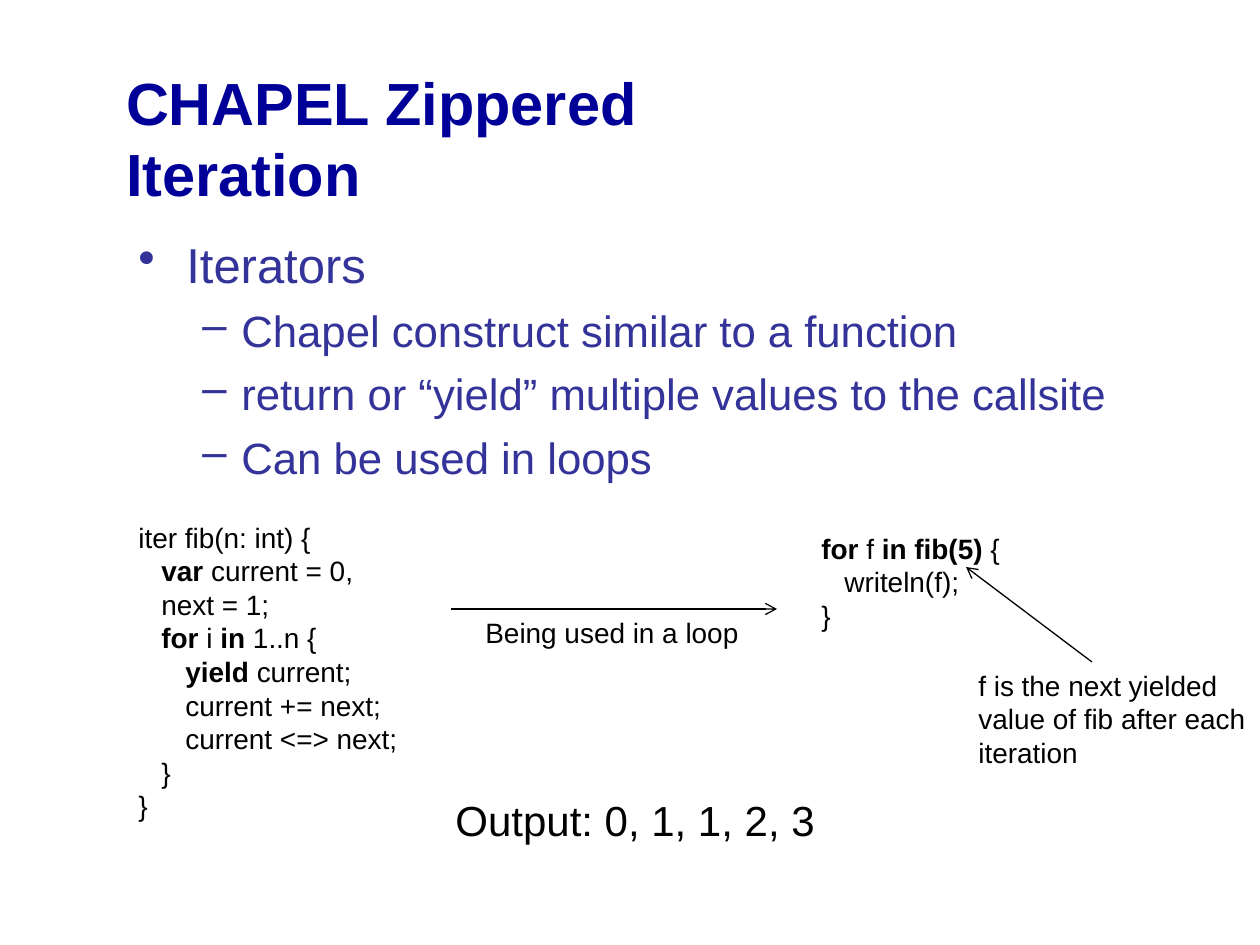
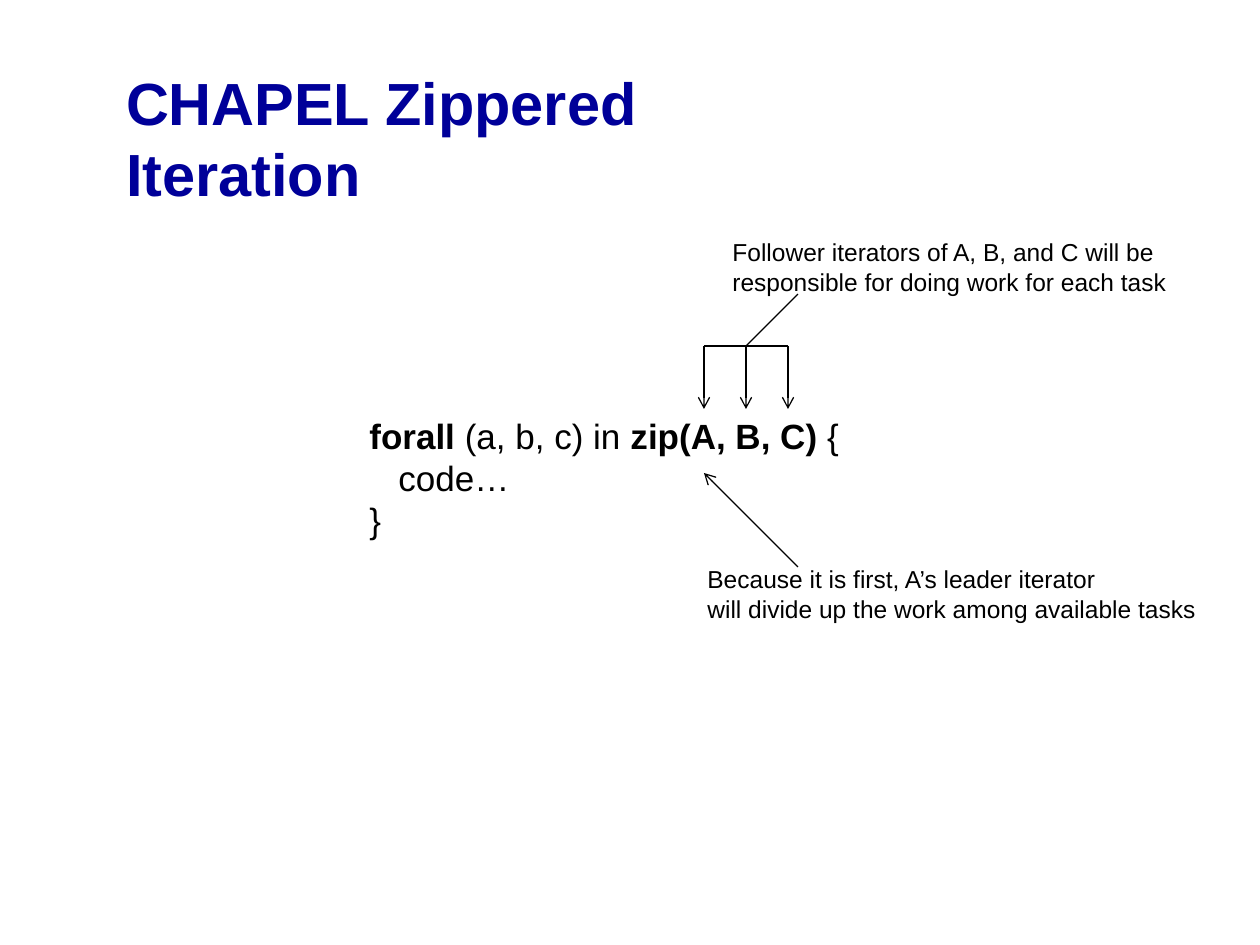
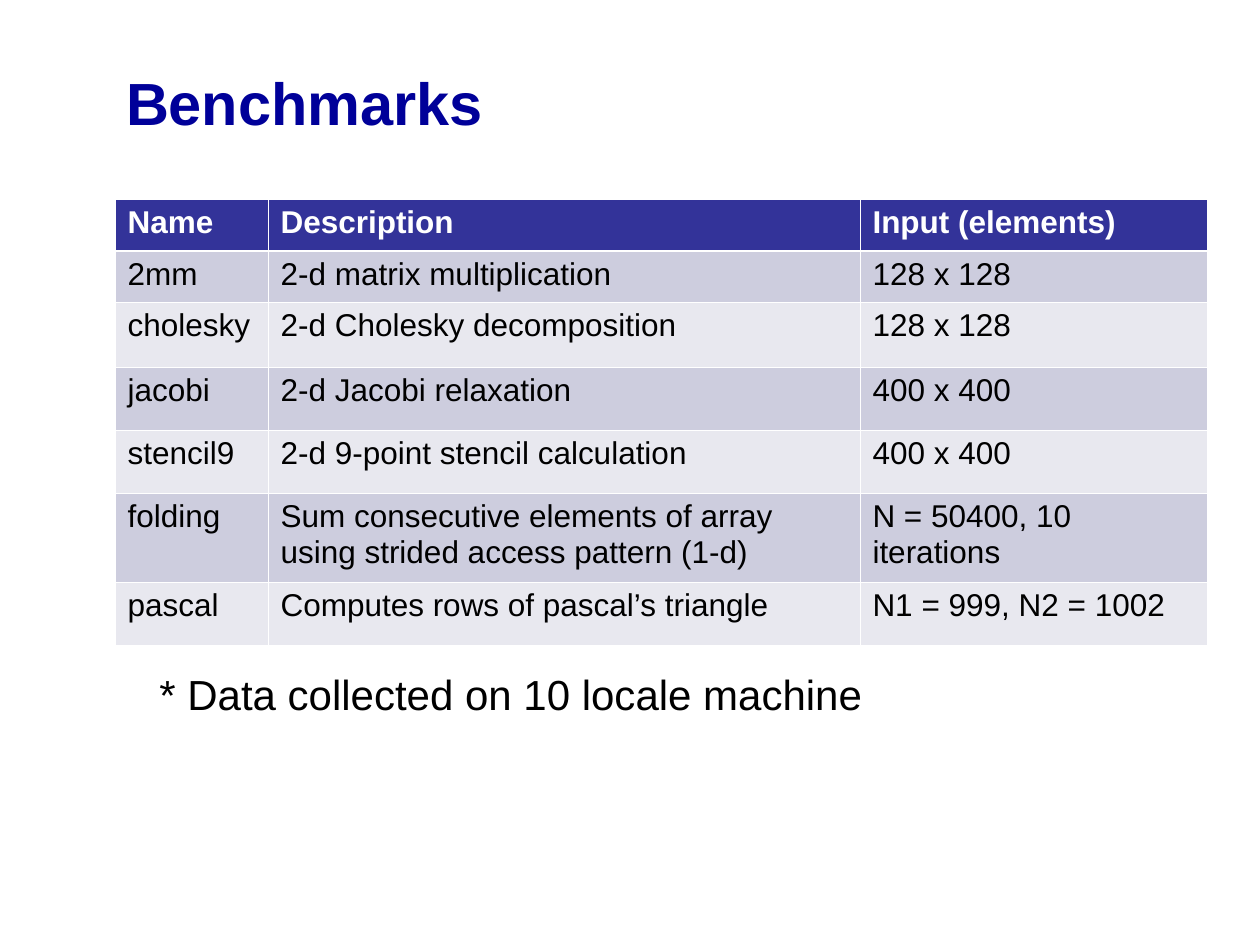
from dataclasses import dataclass
from typing import NamedTuple, Optional, Sequence

from lxml.etree import SubElement
from pptx import Presentation
from pptx.dml.color import RGBColor
from pptx.enum.shapes import MSO_CONNECTOR as Connector
from pptx.oxml import parse_xml
from pptx.oxml.ns import nsdecls, qn
from pptx.slide import Slide
from pptx.text.text import TextFrame
from pptx.util import Emu, Pt

PX_PER_INCH = 126
SLIDE_W, SLIDE_H = 1260, 945


@dataclass(frozen=True)
class Theme:
    font: str = "Arial"
    title_color: str = "000099"
    accent: str = "333399"
    ink: str = "000000"
    white: str = "FFFFFF"
    odd_row: str = "CDCDDE"
    even_row: str = "E8E8EF"
    title_size: int = 34
    large_size: int = 24
    snippet_size: int = 20
    table_size: int = 18
    code_size: int = 16
    note_size: int = 14
    line_width: float = 0.75
    grid_width: float = 0.45
    header_rule_width: float = 1.47


THEME = Theme()


class Box(NamedTuple):
    left: int
    top: int
    width: int
    height: int


class Point(NamedTuple):
    x: int
    y: int


class Bullet(NamedTuple):
    mark: str
    level: int
    margin: int
    hanging: int
    size: int
    space_before: float


class Line(NamedTuple):
    """One paragraph; text between ** marks is bold, depth is the code nesting."""
    text: str
    depth: int = 0
    bullet: Optional[Bullet] = None


class Arrow(NamedTuple):
    start: Point
    end: Point
    head: bool = True


TITLE_BOX = Box(126, 66, 735, 135)
MAIN_BULLET = Bullet("•", 0, 48, 48, 28, 7)
SUB_BULLET = Bullet("–", 1, 103, 39, 25, 6.2)


def px(length: int) -> Emu:
    return Emu(round(length * 914400 / PX_PER_INCH))


def rgb(color: str) -> RGBColor:
    return RGBColor.from_string(color)


def write_lines(frame: TextFrame, lines: Sequence[Line], *, size: int = THEME.code_size,
                color: str = THEME.ink, bold: bool = False) -> None:
    for number, line in enumerate(lines):
        paragraph = frame.paragraphs[0] if number == 0 else frame.add_paragraph()
        line_size = line.bullet.size if line.bullet else size
        properties = paragraph._p.get_or_add_pPr()
        if line.bullet:
            bullet = line.bullet
            paragraph.level = bullet.level
            paragraph.space_before = Pt(bullet.space_before)
            properties.set("marL", str(px(bullet.margin)))
            properties.set("indent", str(-px(bullet.hanging)))
            bullet_color = SubElement(properties, qn("a:buClr"))
            SubElement(bullet_color, qn("a:srgbClr"), val=color)
            SubElement(properties, qn("a:buChar"), char=bullet.mark)
        elif line.depth:
            # One nesting step is three spaces wide at the text size.
            properties.set("marL", str(px(round(line.depth * size * 1.46))))
        for part, words in enumerate(line.text.split("**")):
            if words:
                run = paragraph.add_run()
                run.text = words
                run.font.name = THEME.font
                run.font.size = Pt(line_size)
                run.font.bold = bold or part % 2 == 1
                run.font.color.rgb = rgb(color)


def add_text(slide: Slide, box: Box, *lines: Line, inset: bool = True, **style) -> None:
    frame = slide.shapes.add_textbox(*map(px, box)).text_frame
    frame.word_wrap = True
    if not inset:
        frame.margin_left = frame.margin_right = 0
        frame.margin_top = frame.margin_bottom = 0
    write_lines(frame, lines, **style)


def add_arrows(slide: Slide, arrows: Sequence[Arrow]) -> None:
    for arrow in arrows:
        connector = slide.shapes.add_connector(
            Connector.STRAIGHT, *map(px, (*arrow.start, *arrow.end)))
        connector.line.color.rgb = rgb(THEME.ink)
        connector.line.width = Pt(THEME.line_width)
        if arrow.head:
            SubElement(connector.line._get_or_add_ln(), qn("a:tailEnd"), type="arrow")
        SubElement(connector._element.spPr, qn("a:effectLst"))


def set_borders(cell, widths: dict[str, float]) -> None:
    properties = cell._tc.get_or_add_tcPr()
    for position, (side, width) in enumerate(widths.items()):
        properties.insert(position, parse_xml(
            f'<a:ln{side} {nsdecls("a")} w="{Pt(width)}"><a:solidFill>'
            f'<a:srgbClr val="{THEME.white}"/></a:solidFill></a:ln{side}>'))


def add_titled_slide(deck, title: str) -> Slide:
    slide = deck.slides.add_slide(deck.slide_layouts[6])
    add_text(slide, TITLE_BOX, Line(title), inset=False, size=THEME.title_size,
             color=THEME.title_color, bold=True)
    return slide


def build_iterators(deck) -> None:
    slide = add_titled_slide(deck, "CHAPEL Zippered Iteration")
    add_text(slide, Box(126, 228, 1060, 266),
             Line("Iterators", bullet=MAIN_BULLET),
             Line("Chapel construct similar to a function", bullet=SUB_BULLET),
             Line("return or “yield” multiple values to the callsite", bullet=SUB_BULLET),
             Line("Can be used in loops", bullet=SUB_BULLET),
             color=THEME.accent)
    add_text(slide, Box(126, 514, 294, 349),
             Line("iter fib(n: int) {"),
             Line("**var **current = 0,", 1),
             Line("next = 1;", 1),
             Line("**for **i **in **1..n {", 1),
             Line("**yield **current;", 2),
             Line("current += next;", 2),
             Line("current <=> next;", 2),
             Line("}", 1),
             Line("}"))
    add_text(slide, Box(809, 525, 294, 147),
             Line("**for **f **in fib(5) **{"),
             Line("writeln(f);", 1),
             Line("}"))
    add_arrows(slide, [Arrow(Point(1092, 662), Point(966, 567)),
                       Arrow(Point(451, 609), Point(777, 609))])
    add_text(slide, Box(966, 662, 294, 113),
             Line("f is the next yielded value of fib after each iteration"))
    add_text(slide, Box(473, 609, 294, 47), Line("Being used in a loop"))
    add_text(slide, Box(443, 788, 662, 63), Line("Output: 0, 1, 1, 2, 3"),
             size=THEME.large_size)


def build_zip(deck) -> None:
    slide = add_titled_slide(deck, "CHAPEL Zippered Iteration")
    add_text(slide, Box(357, 408, 567, 181),
             Line("**forall** (a, b, c) in **zip(A, B, C) **{"),
             Line("code…", 1),
             Line("}"),
             size=THEME.snippet_size)

    bracket_y, tip_y = 346, 409
    followers = [704 + 42 * number for number in range(3)]
    first, middle, last = followers
    add_arrows(slide, [
        *(Arrow(Point(x, bracket_y), Point(x, tip_y)) for x in followers),
        Arrow(Point(last, bracket_y), Point(first, bracket_y), head=False),
        Arrow(Point(middle, bracket_y), Point(798, 294), head=False),
        Arrow(Point(798, 567), Point(first, 473)),
    ])
    add_text(slide, Box(720, 231, 470, 72),
             Line("Follower iterators of A, B, and C will be"),
             Line("responsible for doing work for each task"),
             size=THEME.note_size)
    add_text(slide, Box(695, 558, 525, 72),
             Line("Because it is first, A’s leader iterator"),
             Line("will divide up the work among available tasks"),
             size=THEME.note_size)


def build_benchmarks(deck) -> None:
    slide = add_titled_slide(deck, "Benchmarks")
    benchmarks = [
        ("Name", "Description", "Input (elements)"),
        ("2mm", "2-d matrix multiplication", "128 x 128"),
        ("cholesky", "2-d Cholesky decomposition", "128 x 128"),
        ("jacobi", "2-d Jacobi relaxation", "400 x 400"),
        ("stencil9", "2-d 9-point stencil calculation", "400 x 400"),
        ("folding", "Sum consecutive elements of array using strided access pattern (1-d)",
         "N = 50400, 10 iterations"),
        ("pascal", "Computes rows of pascal’s triangle", "N1 = 999, N2 = 1002"),
    ]
    widths = (153, 592, 347)
    heights = (52, 51, 65, 63, 63, 89, 63)
    area = Box(115, 199, sum(widths), sum(heights))
    table = slide.shapes.add_table(len(heights), len(widths), *map(px, area)).table
    for column, width in zip(table.columns, widths):
        column.width = px(width)
    for index, (values, height) in enumerate(zip(benchmarks, heights)):
        table.rows[index].height = px(height)
        header = index == 0
        fill = THEME.accent if header else (THEME.even_row, THEME.odd_row)[index % 2]
        borders = dict.fromkeys("LRTB", THEME.grid_width)
        if index < 2:
            borders["B" if header else "T"] = THEME.header_rule_width
        for cell, value in zip(table.rows[index].cells, values):
            cell.fill.solid()
            cell.fill.fore_color.rgb = rgb(fill)
            set_borders(cell, borders)
            write_lines(cell.text_frame, [Line(value)], size=THEME.table_size,
                        color=THEME.white if header else THEME.ink, bold=header)
    add_text(slide, Box(147, 662, 1061, 63),
             Line("* Data collected on 10 locale machine"), size=THEME.large_size)


def main() -> None:
    deck = Presentation()
    deck.slide_width, deck.slide_height = px(SLIDE_W), px(SLIDE_H)
    build_iterators(deck)
    build_zip(deck)
    build_benchmarks(deck)
    deck.save("out.pptx")


if __name__ == "__main__":
    main()
